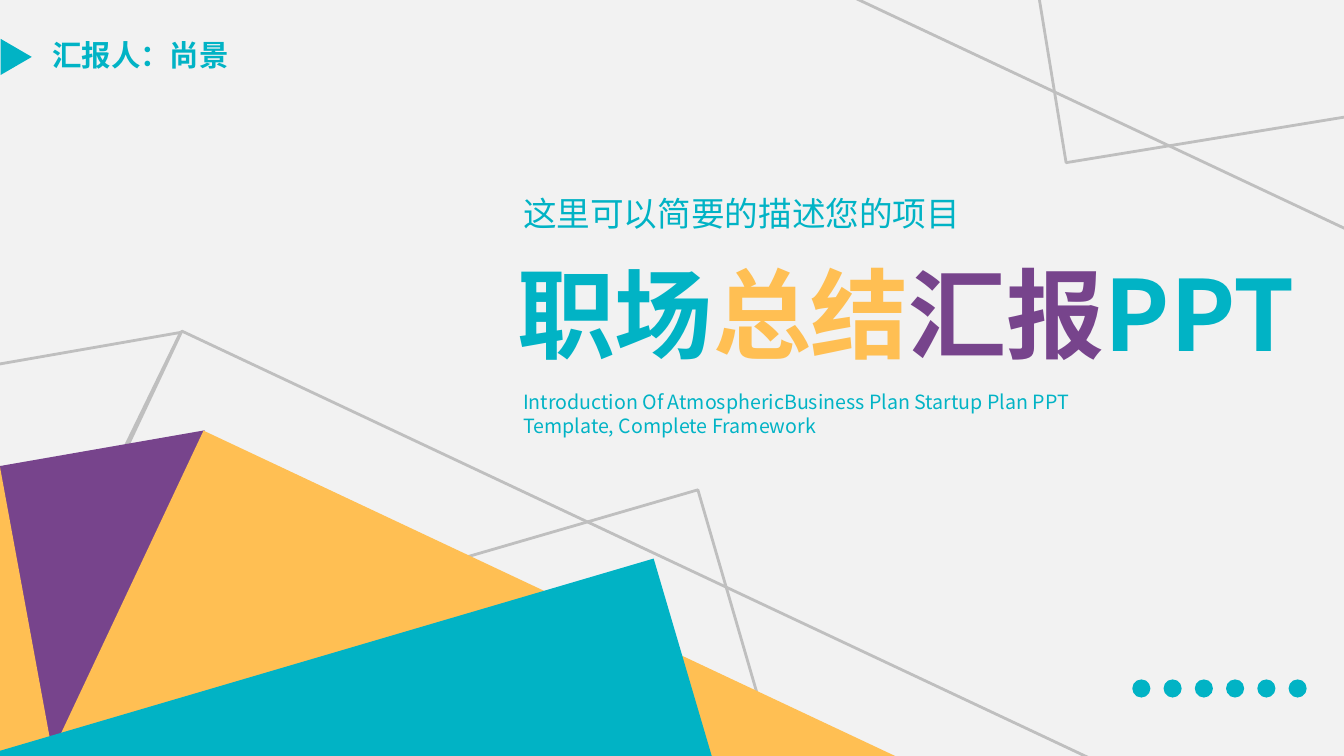
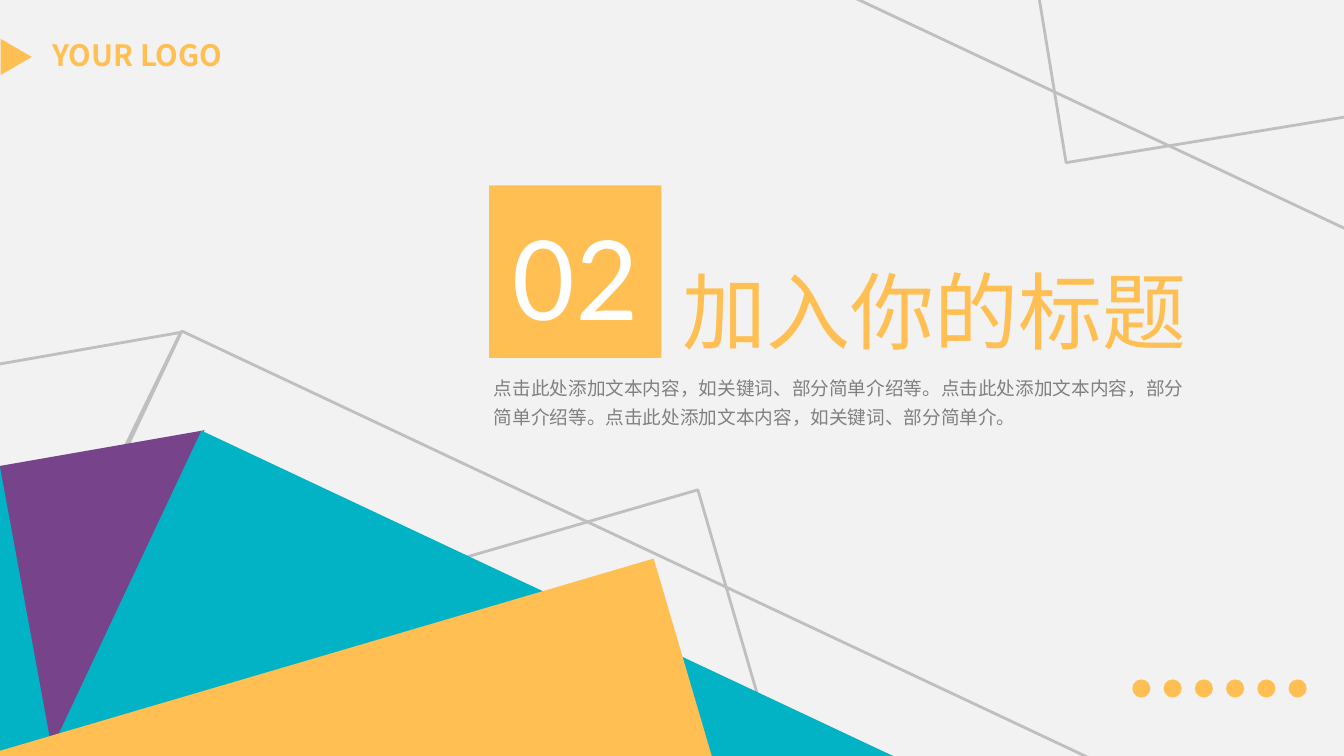
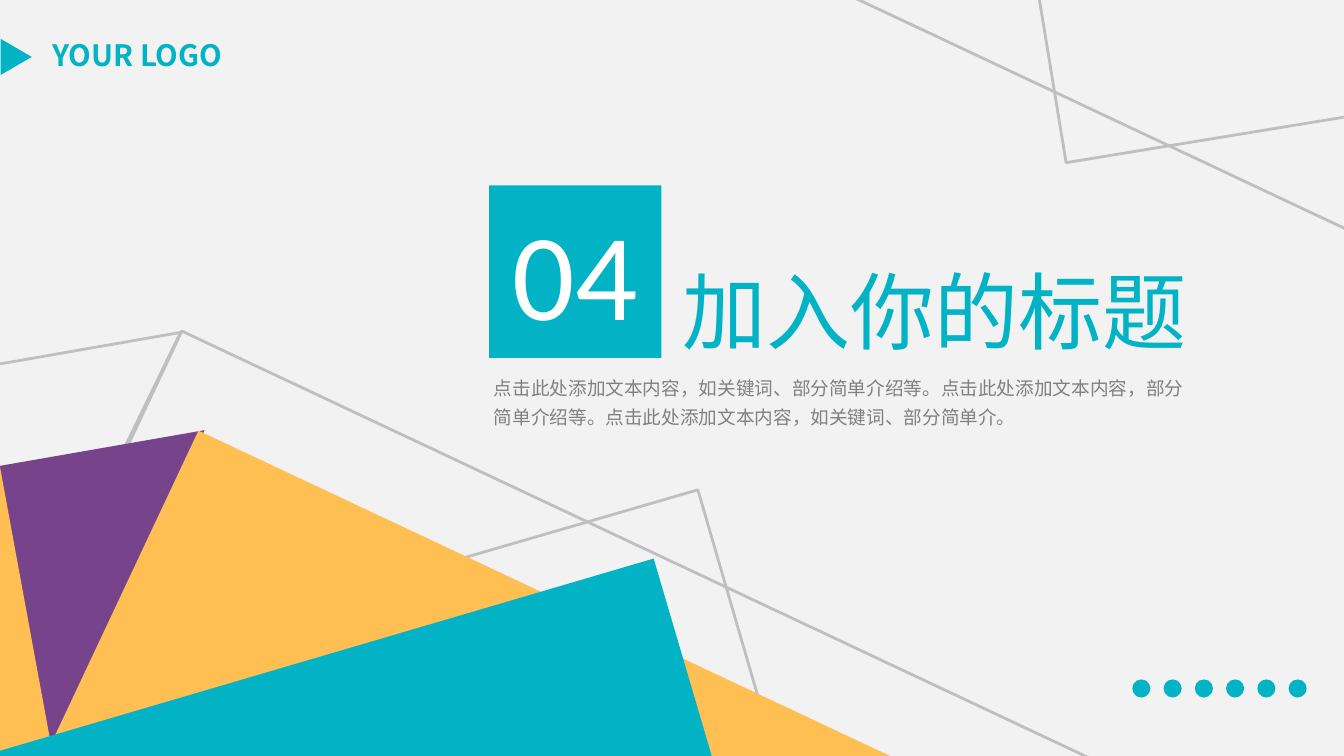
from dataclasses import dataclass

from lxml import etree
from pptx import Presentation
from pptx.dml.color import RGBColor
from pptx.enum.shapes import MSO_SHAPE
from pptx.enum.text import MSO_ANCHOR, MSO_AUTO_SIZE, PP_ALIGN
from pptx.oxml.ns import qn
from pptx.util import Inches, Pt

RECT = MSO_SHAPE.RECTANGLE
OVAL = MSO_SHAPE.OVAL
ARROW = MSO_SHAPE.ISOSCELES_TRIANGLE
WEDGE = MSO_SHAPE.RIGHT_TRIANGLE
TOP, MIDDLE = MSO_ANCHOR.TOP, MSO_ANCHOR.MIDDLE
LEFT, CENTER = PP_ALIGN.LEFT, PP_ALIGN.CENTER
GROW, FIXED = MSO_AUTO_SIZE.SHAPE_TO_FIT_TEXT, MSO_AUTO_SIZE.NONE

TEAL, AMBER, PLUM = "01B3C5", "FFBF53", "77448C"
PALE, LINE, GREY, WHITE = "F2F2F2", "BFBFBF", "808080", "FFFFFF"
SANS, DIGIT = "Noto Sans CJK SC", "Calibri"

Box = tuple[float, float, float, float]


@dataclass(frozen=True)
class Piece:
    kind: int
    box: Box
    turn: float = 0
    fill: str = ""  # an empty fill gives a grey outline
    flip: bool = False


@dataclass(frozen=True)
class Theme:
    main: str
    back: str
    wedge: Box
    slope: float  # left edge of the sloping back panel
    label: str


@dataclass(frozen=True)
class Section:
    number: str
    theme: Theme


FRAMES = [
    Piece(WEDGE, (-0.89, 3.53, 3.07, 4.25), 170.1, flip=True),
    Piece(RECT, (0.51, 5.32, 10.4, 3.75), 25.2),
    Piece(RECT, (-0.18, 5.87, 7.78, 3.75), 343.8),
    Piece(RECT, (6.97, -2.23, 10.4, 3.75), 25.2),
    Piece(RECT, (10.22, -2.74, 7.78, 3.75), 350.7),
]
COVER = Theme(TEAL, AMBER, (0.17, 4.43, 2.15, 3.19), 0.85, "汇报人：尚景")
SECTIONS = [
    Section("02", Theme(AMBER, TEAL, (0.16, 4.43, 2.15, 3.09), 0.83, "YOUR LOGO")),
    Section("04", Theme(TEAL, AMBER, (0.15, 4.43, 2.15, 2.97), 0.8, "YOUR LOGO")),
]
BODY = ("点击此处添加文本内容，如关键词、部分简单介绍等。点击此处添加文本内容，"
        "部分简单介绍等。点击此处添加文本内容，如关键词、部分简单介。")


def paint(code: str) -> RGBColor:
    return RGBColor.from_string(code)


def draw(slide, piece: Piece):
    shape = slide.shapes.add_shape(piece.kind, *map(Inches, piece.box))
    shape.shadow.inherit = False
    shape.rotation = piece.turn
    if piece.flip:
        shape.element.spPr.xfrm.set("flipH", "1")
    if piece.fill:
        shape.fill.solid()
        shape.fill.fore_color.rgb = paint(piece.fill)
        shape.line.fill.background()
    else:
        shape.fill.background()
        shape.line.color.rgb = paint(LINE)
        shape.line.width = Pt(2)
    return shape


def write(frame, runs: list[tuple[str, str]], *, size: float, font: str = SANS,
          bold: bool = False, align=LEFT, anchor=TOP, fit=FIXED,
          wrap: bool = True, space: float = 1) -> None:
    """Fill a text frame with (text, colour) runs."""
    frame.word_wrap = wrap
    frame.auto_size = fit
    frame.vertical_anchor = anchor
    para = frame.paragraphs[0]
    para.alignment = align
    para.line_spacing = space
    for text, code in runs:
        run = para.add_run()
        run.text = text
        run.font.size = Pt(size)
        run.font.bold = bold
        run.font.color.rgb = paint(code)
        run.font.name = font
        east = etree.SubElement(run.font._element, qn("a:ea"))
        east.set("typeface", font)


def label(slide, box: Box, runs: list[tuple[str, str]], **style) -> None:
    frame = slide.shapes.add_textbox(*map(Inches, box)).text_frame
    write(frame, runs, **style)


def start(deck, theme: Theme):
    """Add a slide with the art, corner label and dots that all slides share."""
    slide = deck.slides.add_slide(deck.slide_layouts[6])
    panels = [
        Piece(WEDGE, theme.wedge, 170.1, PLUM, True),
        Piece(RECT, (-7.38, 5.29, 7.78, 3.75), 349.6, theme.back),
        Piece(RECT, (theme.slope, 5.75, 7.78, 3.75), 25.2, theme.back),
        Piece(RECT, (-0.59, 6.56, 7.78, 3.89), 343.6, theme.main),
    ]
    arrow = Piece(ARROW, (-0.02, 0.41, 0.36, 0.31), 90, theme.main)
    dots = [Piece(OVAL, (11.23 + 0.31 * i, 6.74, 0.18, 0.18), fill=theme.main)
            for i in range(6)]
    for piece in [*FRAMES, *panels, arrow, *dots]:
        draw(slide, piece)
    label(slide, (0.42, 0.32, 2.44, 0.45), [(theme.label, theme.main)],
          size=21, bold=True, fit=GROW)
    return slide


def cover(deck) -> None:
    slide = start(deck, COVER)
    label(slide, (5.09, 1.99, 4.79, 0.25), [("这里可以简要的描述您的项目", TEAL)],
          size=24, anchor=MIDDLE)
    title = [("职场", TEAL), ("总结", AMBER), ("汇报", PLUM), ("PPT", TEAL)]
    label(slide, (5.03, 2.48, 8.51, 1.24), title, size=70, bold=True, anchor=MIDDLE)
    intro = ("Introduction Of AtmosphericBusiness Plan Startup Plan PPT "
             "Template, Complete Framework")
    label(slide, (5.09, 3.84, 6.36, 0.53), [(intro, TEAL)], size=14, anchor=MIDDLE)


def divide(deck, part: Section) -> None:
    main = part.theme.main
    slide = start(deck, part.theme)
    # Number tile
    tile = draw(slide, Piece(RECT, (4.85, 1.84, 1.71, 1.71), fill=main))
    write(tile.text_frame, [(part.number, WHITE)], size=88, font=DIGIT,
          align=CENTER, anchor=MIDDLE)
    # Heading and summary
    label(slide, (6.64, 2.53, 5.25, 1.11), [("加入你的标题", main)],
          size=60, align=CENTER, fit=GROW, wrap=False)
    label(slide, (4.8, 3.62, 7.08, 0.68), [(BODY, GREY)],
          size=13.3, fit=GROW, space=1.3)


def main() -> None:
    deck = Presentation()
    deck.slide_width, deck.slide_height = Inches(13.33), Inches(7.5)
    ground = deck.slide_master.background.fill
    ground.solid()
    ground.fore_color.rgb = paint(PALE)
    cover(deck)
    for part in SECTIONS:
        divide(deck, part)
    deck.save("out.pptx")


if __name__ == "__main__":
    main()
